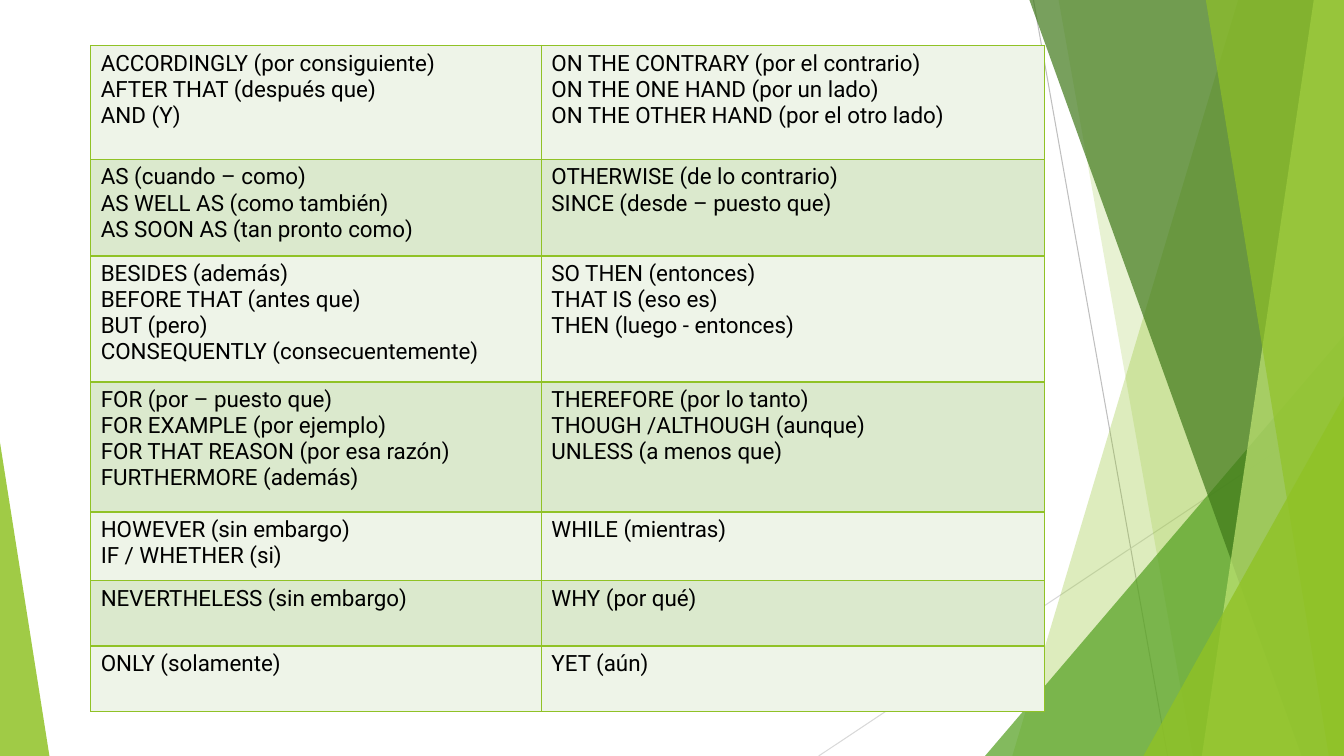
from lxml import etree
from pptx import Presentation
from pptx.dml.color import RGBColor
from pptx.enum import shapes
from pptx.oxml.ns import qn
from pptx.util import Inches, Pt

WIDTH, HEIGHT = 13.33, 7.5
GREEN = "90C226"
BANDS = ("EEF4E8", "DBE9CD")

# Content: row height, left connectors, right connectors
ROWS = [
    (1.13,
     ["ACCORDINGLY (por consiguiente)", "AFTER THAT (después que)", "AND (Y)"],
     ["ON THE CONTRARY (por el contrario)", "ON THE ONE HAND (por un lado)",
      "ON THE OTHER HAND (por el otro lado)"]),
    (0.96,
     ["AS (cuando – como)", "AS WELL AS (como también)", "AS SOON AS (tan pronto como)"],
     ["OTHERWISE (de lo contrario)", "SINCE (desde – puesto que)"]),
    (1.25,
     ["BESIDES (además)", "BEFORE THAT (antes que)", "BUT (pero)",
      "CONSEQUENTLY (consecuentemente)"],
     ["SO THEN (entonces)", "THAT IS (eso es)", "THEN (luego - entonces)"]),
    (1.29,
     ["FOR (por – puesto que)", "FOR EXAMPLE (por ejemplo)",
      "FOR THAT REASON (por esa razón) FURTHERMORE (además)"],
     ["THEREFORE (por lo tanto)", "THOUGH /ALTHOUGH (aunque)", "UNLESS (a menos que)"]),
    (0.68, ["HOWEVER (sin embargo)", "IF / WHETHER (si)"], ["WHILE (mientras)"]),
    (0.65, ["NEVERTHELESS (sin embargo)"], ["WHY (por qué)"]),
    (0.65, ["ONLY (solamente)"], ["YET (aún)"]),
]
COLUMNS = (4.47, 4.99)

# Decoration: lines are (start, end, colour)
LINES = [
    ((10.25, 0), (11.58, HEIGHT), "BFBFBF"),
    ((WIDTH, 4.03), (8.12, HEIGHT), "D9D9D9"),
]
# Facets reach the right edge: (top x, bottom x, colour, opacity %)
# Triangles stand on the bottom edge: (left, top, width, apex, colour, opacity %)
FACETS = [
    (12.28, 10.04, GREEN, 30),
    (10.5, 11.83, GREEN, 20),
    (9.77, 3.33, 3.56, 1, "54A021", 72),
    (10.21, 12.91, "3F7819", 70),
    (13.03, 11.92, "C0E474", 70),
    (11.96, 13.18, GREEN, 65),
    (11.34, 3.93, 1.99, 1, GREEN, 80),
    (0, 4.39, 0.49, 0, GREEN, 85),
]


def rgb(value):
    return RGBColor.from_string(value)


def paint(sp, color, opacity):
    sp.shadow.inherit = False
    sp.line.fill.background()
    sp.fill.solid()
    sp.fill.fore_color.rgb = rgb(color)
    clr = sp.fill._xPr.find(qn("a:solidFill"))[0]
    etree.SubElement(clr, qn("a:alpha")).set("val", str(opacity * 1000))


def add_line(s, start, end, color):
    points = [Inches(v) for v in (*start, *end)]
    line = s.shapes.add_connector(shapes.MSO_CONNECTOR.STRAIGHT, *points)
    line.line.color.rgb = rgb(color)
    line.line.width = Pt(0.75)
    etree.SubElement(line._element.spPr, qn("a:effectLst"))


def add_facet(s, top_x, bottom_x, color, opacity):
    corners = [(WIDTH, 0), (WIDTH, HEIGHT), (bottom_x, HEIGHT)]
    builder = s.shapes.build_freeform(Inches(top_x), 0)
    builder.add_line_segments([(Inches(x), Inches(y)) for x, y in corners], close=True)
    paint(builder.convert_to_shape(), color, opacity)


def add_triangle(s, left, top, width, apex, color, opacity):
    box = [Inches(v) for v in (left, top, width, HEIGHT - top)]
    sp = s.shapes.add_shape(shapes.MSO_SHAPE.ISOSCELES_TRIANGLE, *box)
    sp.adjustments[0] = apex
    paint(sp, color, opacity)


def write(tf, lines, size=16, font="Roboto", color="000000"):
    tf.word_wrap = True
    for i, line in enumerate(lines):
        p = tf.paragraphs[0] if i == 0 else tf.add_paragraph()
        r = p.add_run()
        r.text = line
        r.font.size = Pt(size)
        r.font.name = font
        r.font.color.rgb = rgb(color)


def border(cell, color, width=1):
    tcPr = cell._tc.get_or_add_tcPr()
    for i, side in enumerate(("a:lnL", "a:lnR", "a:lnT", "a:lnB")):
        ln = etree.Element(qn(side), w=str(Pt(width)))
        fill = etree.SubElement(ln, qn("a:solidFill"))
        etree.SubElement(fill, qn("a:srgbClr"), val=color)
        tcPr.insert(i, ln)


def add_word_table(s):
    height = sum(row[0] for row in ROWS)
    box = [Inches(v) for v in (0.9, 0.45, sum(COLUMNS), height)]
    table = s.shapes.add_table(len(ROWS), len(COLUMNS), *box).table
    for column, width in zip(table.columns, COLUMNS):
        column.width = Inches(width)
    for i, (row_height, *cells) in enumerate(ROWS):
        table.rows[i].height = Inches(row_height)
        for j, lines in enumerate(cells):
            cell = table.cell(i, j)
            cell.fill.solid()
            cell.fill.fore_color.rgb = rgb(BANDS[i % 2])
            border(cell, GREEN)
            write(cell.text_frame, lines)


def main():
    prs = Presentation()
    prs.slide_width, prs.slide_height = Inches(WIDTH), Inches(HEIGHT)
    s = prs.slides.add_slide(prs.slide_layouts[6])

    # Green facets behind the table
    for line in LINES:
        add_line(s, *line)
    for facet in FACETS:
        draw = add_facet if len(facet) == 4 else add_triangle
        draw(s, *facet)

    # Connectors and their translations
    add_word_table(s)
    prs.save("out.pptx")


if __name__ == "__main__":
    main()
